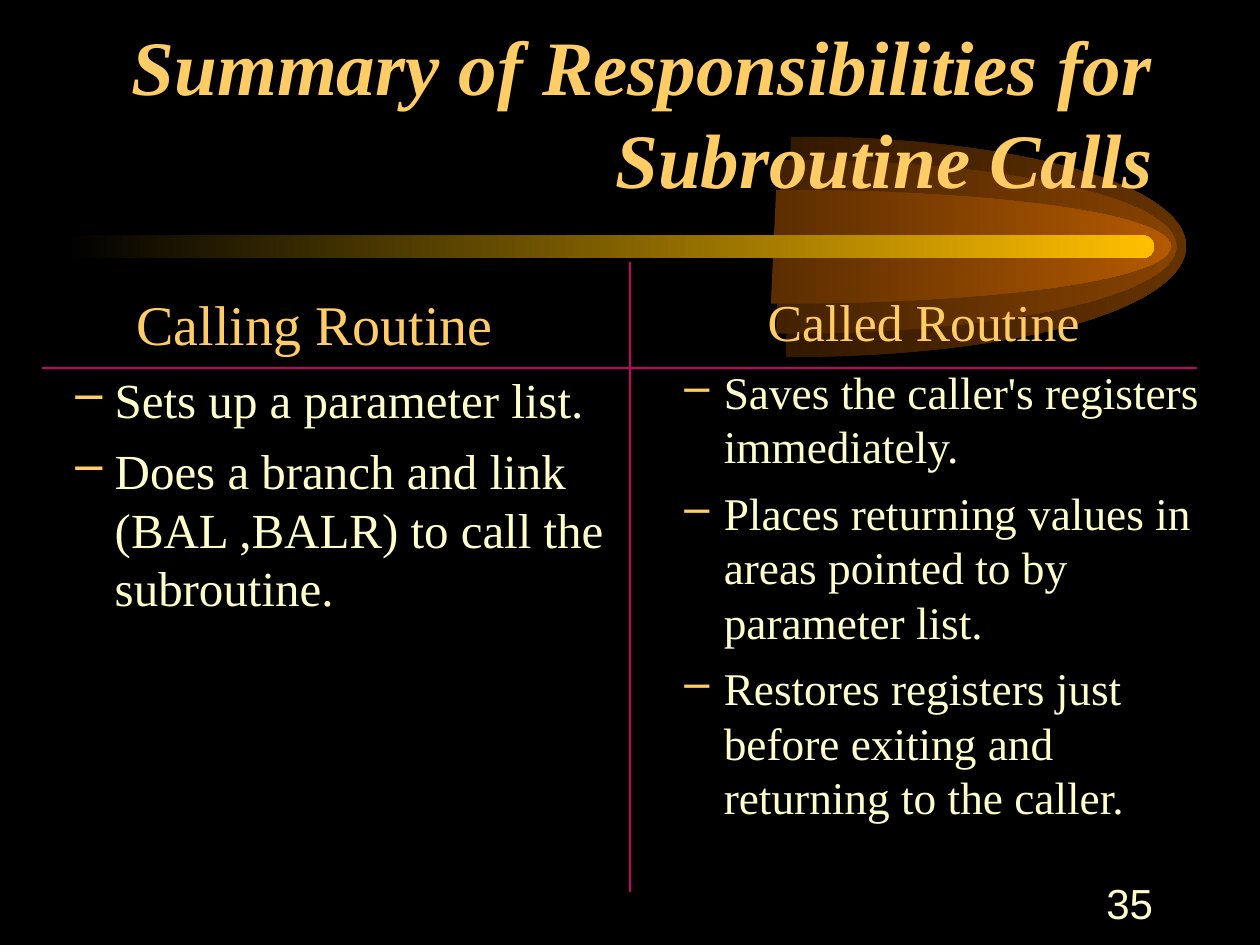
from lxml import etree
from pptx import Presentation
from pptx.dml.color import RGBColor
from pptx.enum.shapes import MSO_CONNECTOR, MSO_SHAPE
from pptx.enum.text import MSO_ANCHOR, MSO_AUTO_SIZE, PP_ALIGN
from pptx.oxml.ns import qn
from pptx.util import Pt

STRAIGHT = MSO_CONNECTOR.STRAIGHT
ROUNDED = MSO_SHAPE.ROUNDED_RECTANGLE
BOTTOM, MIDDLE = MSO_ANCHOR.BOTTOM, MSO_ANCHOR.MIDDLE
NO_AUTOFIT = MSO_AUTO_SIZE.NONE
CENTER, RIGHT = PP_ALIGN.CENTER, PP_ALIGN.RIGHT

BLACK = RGBColor(0x00, 0x00, 0x00)
GOLD = RGBColor(0xFF, 0xCC, 0x66)
CREAM = RGBColor(0xFF, 0xFF, 0xCC)
MAGENTA = RGBColor(0xCC, 0x00, 0x66)
AMBER = RGBColor(0xFF, 0xBF, 0x00)
BROWNS = [
    (RGBColor(0x33, 0x19, 0x00), RGBColor(0x66, 0x33, 0x00)),
    (RGBColor(0x44, 0x22, 0x00), RGBColor(0x89, 0x44, 0x00)),
    (RGBColor(0x5B, 0x2D, 0x00), RGBColor(0xB7, 0x5B, 0x00)),
]
SERIF = "Times New Roman"


def fill_gradient(shape, left_color, right_color):
    shape.shadow.inherit = False
    shape.line.fill.background()
    shape.fill.gradient()
    shape.fill.gradient_angle = 0
    for stop, color in zip(shape.fill.gradient_stops, (left_color, right_color)):
        stop.color.rgb = color


def style_text(paragraph, font_name, size, color):
    paragraph.font.name = font_name
    paragraph.font.size = Pt(size)
    paragraph.font.color.rgb = color


presentation = Presentation()
presentation.slide_width, presentation.slide_height = Pt(720), Pt(540)
slide = presentation.slides.add_slide(presentation.slide_layouts[5])
slide.background.fill.solid()
slide.background.fill.fore_color.rgb = BLACK

CONE_CONTROLS = [
    (81, -1), (155.5, -0.82), (196, -0.51),
    (236, -0.2), (235.5, 0.2), (195, 0.51),
    (155, 0.82), (80, 1), (-3, 1),
]
CONE_MIDDLE = 141
cones = [(452, 63), (446.5, 49.7), (443.5, 32.5)]
for (cone_left, half_height), colors in zip(cones, BROWNS):
    builder = slide.shapes.build_freeform(Pt(cone_left), Pt(CONE_MIDDLE - half_height))
    builder.add_line_segments(
        [(Pt(cone_left + x), Pt(CONE_MIDDLE + half_height * y)) for x, y in CONE_CONTROLS]
    )
    cone = builder.convert_to_shape()
    segments = list(cone._element.iter(qn("a:lnTo")))
    outline = segments[0].getparent()
    for start in range(0, len(segments), 3):
        curve = etree.SubElement(outline, qn("a:cubicBezTo"))
        for segment in segments[start:start + 3]:
            curve.append(segment[0])
            outline.remove(segment)
    etree.SubElement(outline, qn("a:close"))
    fill_gradient(cone, *colors)

bar = slide.shapes.add_shape(ROUNDED, Pt(36), Pt(134.5), Pt(623.5), Pt(13))
bar.adjustments[0] = 0.5
fill_gradient(bar, BLACK, AMBER)

title = slide.shapes.title
slide.shapes._spTree.append(title._element)
title.left, title.top, title.width, title.height = Pt(54), Pt(30), Pt(612), Pt(90)
title.text_frame.text = "Summary of Responsibilities for Subroutine Calls"
title.text_frame.vertical_anchor = BOTTOM
title.text_frame.auto_size = NO_AUTOFIT
title.text_frame.word_wrap = True
paragraph = title.text_frame.paragraphs[0]
paragraph.alignment = RIGHT
style_text(paragraph, SERIF, 44, GOLD)
paragraph.font.bold = True
paragraph.font.italic = True

columns = [
    (0, 32, 28, "Calling Routine", [
        "Sets up a parameter list.",
        "Does a branch and link (BAL ,BALR) to call the subroutine.",
    ]),
    (348, 29.6, 25.9, "Called Routine", [
        "Saves the caller's registers immediately.",
        "Places returning values in areas pointed to by parameter list.",
        "Restores registers just before exiting and returning to the caller.",
    ]),
]
for left, heading_size, duty_size, heading, duties in columns:
    column = slide.shapes.add_textbox(Pt(left), Pt(162), Pt(360), Pt(324))
    frame = column.text_frame
    frame.word_wrap = True
    paragraph = frame.paragraphs[0]
    paragraph.text = heading
    paragraph.alignment = CENTER
    style_text(paragraph, SERIF, heading_size, GOLD)
    for duty in duties:
        paragraph = frame.add_paragraph()
        paragraph.text = duty
        paragraph.level = 1
        paragraph.space_before = Pt(7)
        properties = paragraph._p.get_or_add_pPr()
        properties.set("marL", str(Pt(58.5)))
        properties.set("indent", str(-Pt(22.5)))
        bullet_color = etree.SubElement(properties, qn("a:buClr"))
        etree.SubElement(bullet_color, qn("a:srgbClr"), val=str(GOLD))
        etree.SubElement(properties, qn("a:buChar"), char="–")
        style_text(paragraph, SERIF, duty_size, CREAM)

dividers = [(360, 150, 360, 510), (24, 210.25, 684, 210.25)]
for ends in dividers:
    divider = slide.shapes.add_connector(STRAIGHT, *(Pt(value) for value in ends))
    divider.line.color.rgb = MAGENTA
    divider.line.width = Pt(1)
    etree.SubElement(divider._element.spPr, qn("a:effectLst"))

page_number = slide.shapes.add_textbox(Pt(516), Pt(498), Pt(150), Pt(36))
page_number.text_frame.word_wrap = True
page_number.text_frame.vertical_anchor = MIDDLE
paragraph = page_number.text_frame.paragraphs[0]
paragraph.text = "35"
paragraph.alignment = RIGHT
style_text(paragraph, "Arial", 24, CREAM)

presentation.save("out.pptx")
